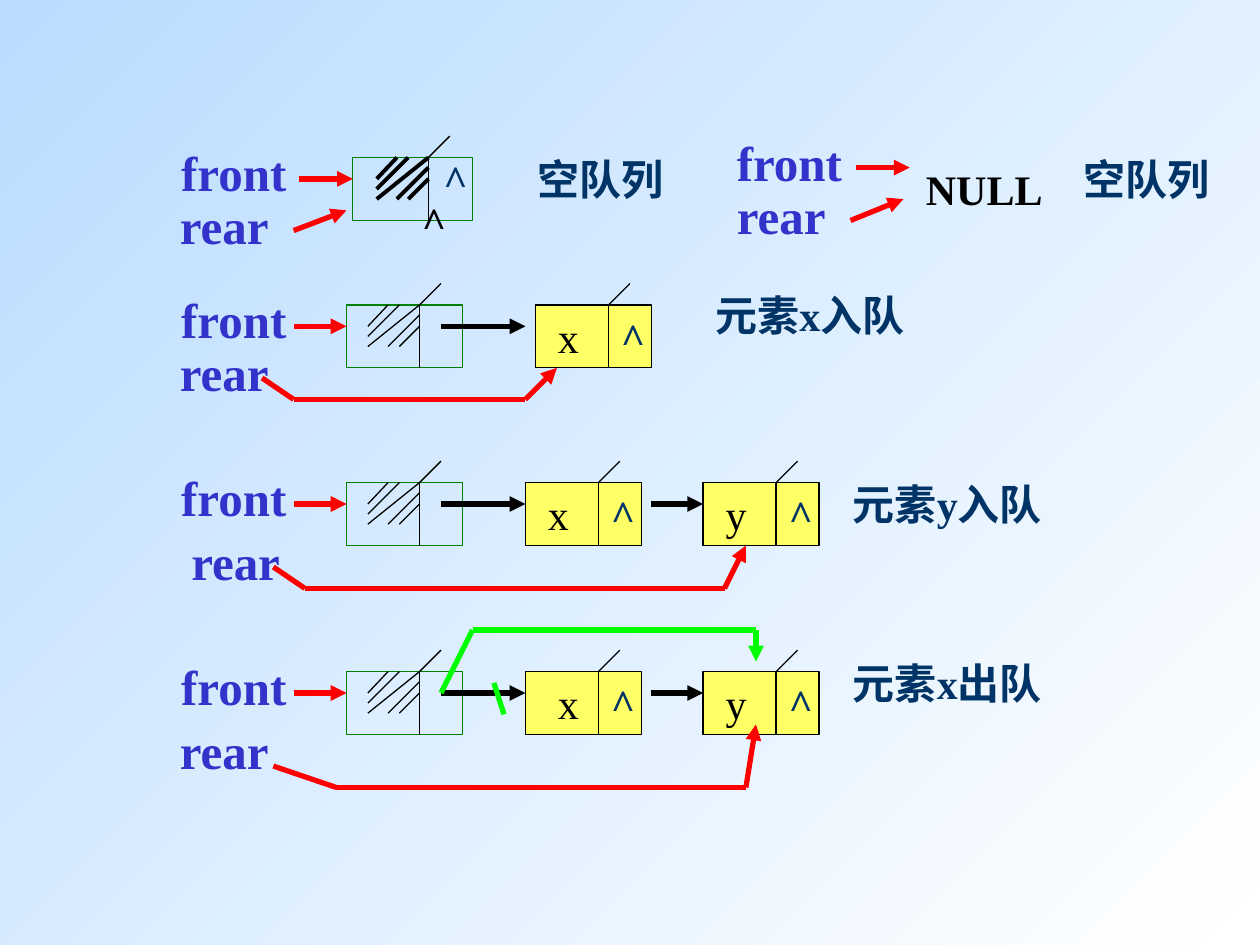
from itertools import pairwise

from pptx import Presentation
from pptx.dml.color import RGBColor
from pptx.enum import shapes, text
from pptx.oxml import ns, xmlchemy
from pptx.util import Inches, Pt

BLACK = RGBColor(0x00, 0x00, 0x00)
RED = RGBColor(0xFF, 0x00, 0x00)
GREEN = RGBColor(0x00, 0xFF, 0x00)
DARK_GREEN = RGBColor(0x00, 0x80, 0x00)
YELLOW = RGBColor(0xFF, 0xFF, 0x66)
BLUE = RGBColor(0x33, 0x33, 0xCC)
NAVY = RGBColor(0x00, 0x33, 0x66)
SKY = RGBColor(0xB9, 0xDC, 0xFF)
WHITE = RGBColor(0xFF, 0xFF, 0xFF)

FONT = "Times New Roman"
THIN, THICK = 0.75, 3
NODE_WIDTH, NODE_HEIGHT, DATA_WIDTH = 0.92, 0.5, 0.58
HATCH = [
    (-0.16, 0, -0.41, 0.25),
    (0, 0.08, -0.25, 0.33),
    (0, 0, -0.41, 0.33),
    (0, 0.17, -0.16, 0.33),
    (-0.25, 0, -0.41, 0.17),
]


def write(frame, content, size=24, color=NAVY, bold=True):
    paragraph = frame.paragraphs[0]
    run = paragraph.add_run()
    run.text = content
    run.font.name = FONT
    run.font.size = Pt(size)
    run.font.bold = bold
    run.font.color.rgb = color


class QueueDiagram:
    def __init__(self, slide):
        self.slide = slide
        self.items = slide.shapes

    def background(self, start, end):
        fill = self.slide.background.fill
        fill.gradient()
        fill.gradient_angle = 315
        for stop, color, position in zip(fill.gradient_stops, (start, end), (0, 1)):
            stop.color.rgb = color
            stop.position = position

    def group(self):
        self.items = self.slide.shapes.add_group_shape().shapes

    def label(self, left, top, width, height, content, wrap=True, **style):
        box = self.items.add_textbox(Inches(left), Inches(top), Inches(width), Inches(height))
        frame = box.text_frame
        frame.word_wrap = wrap
        frame.auto_size = text.MSO_AUTO_SIZE.SHAPE_TO_FIT_TEXT
        write(frame, content, **style)

    def line(self, start, end, color=BLACK, weight=THIN, arrow=False):
        connector = self.items.add_connector(
            shapes.MSO_CONNECTOR.STRAIGHT, *(Inches(value) for value in (*start, *end))
        )
        connector.line.color.rgb = color
        connector.line.width = Pt(weight)
        if arrow:
            tail = xmlchemy.OxmlElement("a:tailEnd")
            tail.set("type", "triangle")
            connector.line._get_or_add_ln().append(tail)
        properties = connector._element.find(ns.qn("p:spPr"))
        properties.append(xmlchemy.OxmlElement("a:effectLst"))

    def arrow(self, start, end, color=RED):
        self.line(start, end, color, THICK, arrow=True)

    def route(self, points, color=RED):
        *segments, last = pairwise(points)
        for start, end in segments:
            self.line(start, end, color, THICK)
        self.arrow(*last, color)

    def cell(self, left, top, width, divider, color=BLACK, fill=None):
        shape = self.items.add_shape(
            shapes.MSO_SHAPE.RECTANGLE,
            Inches(left), Inches(top), Inches(width), Inches(NODE_HEIGHT),
        )
        shape.shadow.inherit = False
        if fill is None:
            shape.fill.background()
        else:
            shape.fill.solid()
            shape.fill.fore_color.rgb = fill
        shape.line.color.rgb = color
        shape.line.width = Pt(THIN)
        self.line((divider, top), (divider, top + NODE_HEIGHT))
        self.line((divider, top), (divider + 0.17, top - 0.17))

    def head(self, top, left=2.75, width=NODE_WIDTH, data_width=DATA_WIDTH, weight=THIN):
        divider = left + data_width
        self.cell(left, top, width, divider, DARK_GREEN)
        for x1, y1, x2, y2 in HATCH:
            self.line((divider + x1, top + y1), (divider + x2, top + y2), weight=weight)

    def node(self, left, top, name, inset=0.08):
        divider = left + DATA_WIDTH
        self.cell(left, top, NODE_WIDTH, divider, fill=YELLOW)
        self.label(left + inset, top, 0.42, 0.5, name, color=BLACK, bold=False)
        self.label(divider, top, 0.42, 0.5, "^")

    def pointers(self, left, front_top, rear_left, rear_top):
        style = {"size": 28, "color": BLUE}
        self.label(left, front_top, 1.04, 0.57, "front", wrap=False, **style)
        self.label(rear_left, rear_top, 0.94, 0.57, "rear", **style)

    def queue(self, top, nodes, rear, rear_route, caption, caption_at):
        self.group()
        self.pointers(1.34, top - 0.17, *rear)
        self.head(top)
        level = top + 0.17
        self.arrow((2.33, level), (2.75, level))
        for left, name, inset in nodes:
            self.node(left, top, name, inset)
        self.arrow((3.5, level), (4.17, level), BLACK)
        if len(nodes) > 1:
            self.arrow((5.17, level), (5.58, level), BLACK)
        self.route(rear_route)
        self.label(*caption_at, 1.75, 0.9, caption)


def main():
    presentation = Presentation()
    presentation.slide_width = Inches(10)
    presentation.slide_height = Inches(7.5)
    slide = presentation.slides.add_slide(presentation.slide_layouts[6])
    diagram = QueueDiagram(slide)
    diagram.background(SKY, WHITE)

    diagram.queue(
        2.42, [(4.25, "x", 0.08)], (1.33, 2.67),
        [(2.08, 3), (2.33, 3.17), (4.17, 3.17), (4.42, 2.92)],
        "元素x入队", (5.58, 2.25),
    )
    diagram.queue(
        3.83, [(4.17, "x", 0.08), (5.58, "y", 0.08)], (1.42, 4.17),
        [(2.17, 4.5), (2.42, 4.67), (5.75, 4.67), (5.92, 4.33)],
        "元素y入队", (6.67, 3.75),
    )
    diagram.queue(
        5.33, [(4.17, "x", 0.16), (5.58, "y", 0.08)], (1.33, 5.67),
        [(2.17, 6.08), (2.67, 6.25), (5.92, 6.25), (6, 5.75)],
        "元素x出队", (6.67, 5.17),
    )
    diagram.route([(3.5, 5.5), (3.75, 5), (6, 5), (6, 5.25)], GREEN)
    diagram.line((3.92, 5.42), (4, 5.67), GREEN, THICK)

    diagram.group()
    diagram.pointers(1.34, 1.08, 1.33, 1.5)
    diagram.head(1.25, left=2.8, width=0.95, data_width=0.6, weight=2.25)
    diagram.arrow((2.37, 1.42), (2.8, 1.42))
    diagram.arrow((2.33, 1.83), (2.75, 1.67))
    diagram.label(3.25, 1.5, 0.25, 0.5, "^", color=BLACK)
    diagram.label(3.42, 1.17, 0.39, 0.5, "^", wrap=False)
    diagram.label(4.17, 1.17, 1.25, 0.5, "空队列")

    diagram.group()
    diagram.pointers(5.75, 1, 5.75, 1.42)
    diagram.arrow((6.79, 1.33), (7.22, 1.33))
    diagram.arrow((6.75, 1.75), (7.17, 1.58))
    diagram.label(7.25, 1.25, 1.23, 0.5, "NULL", color=BLACK)

    diagram.items = slide.shapes
    diagram.label(8.5, 1.17, 1.25, 0.5, "空队列")

    presentation.save("out.pptx")


if __name__ == "__main__":
    main()
